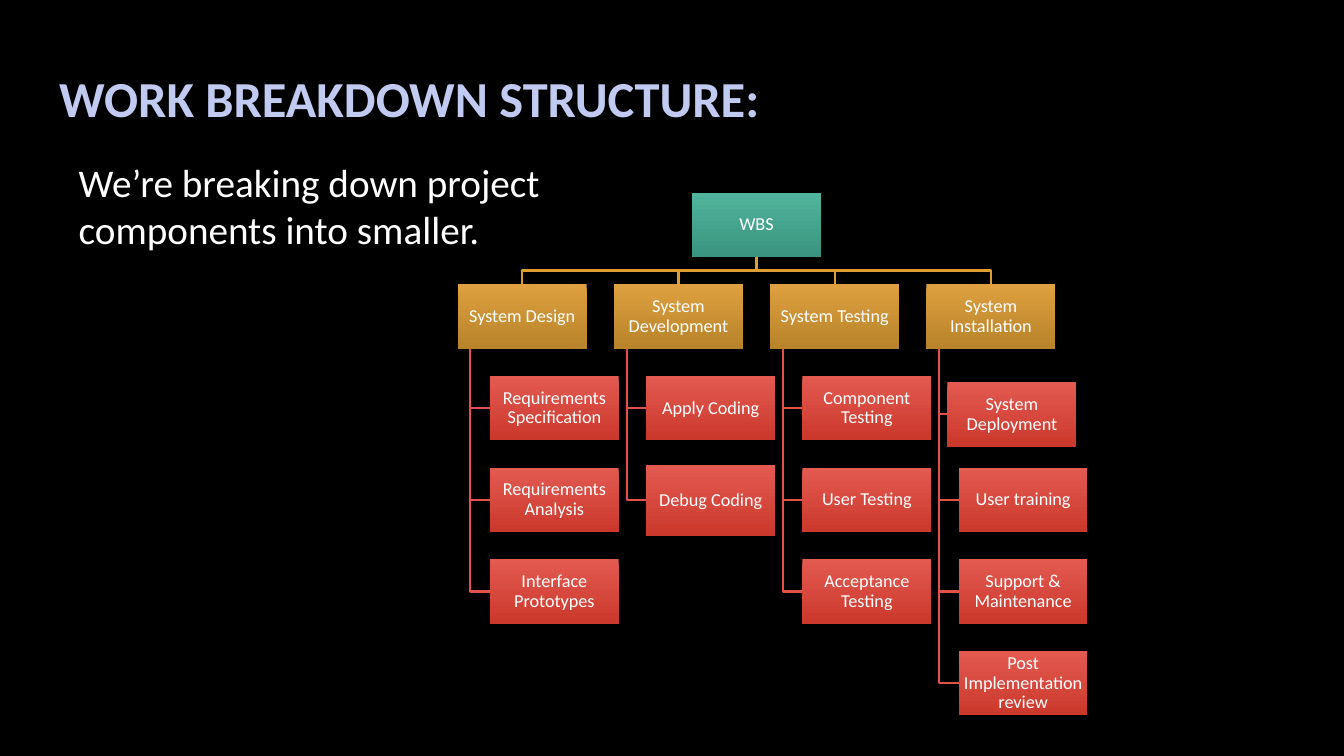
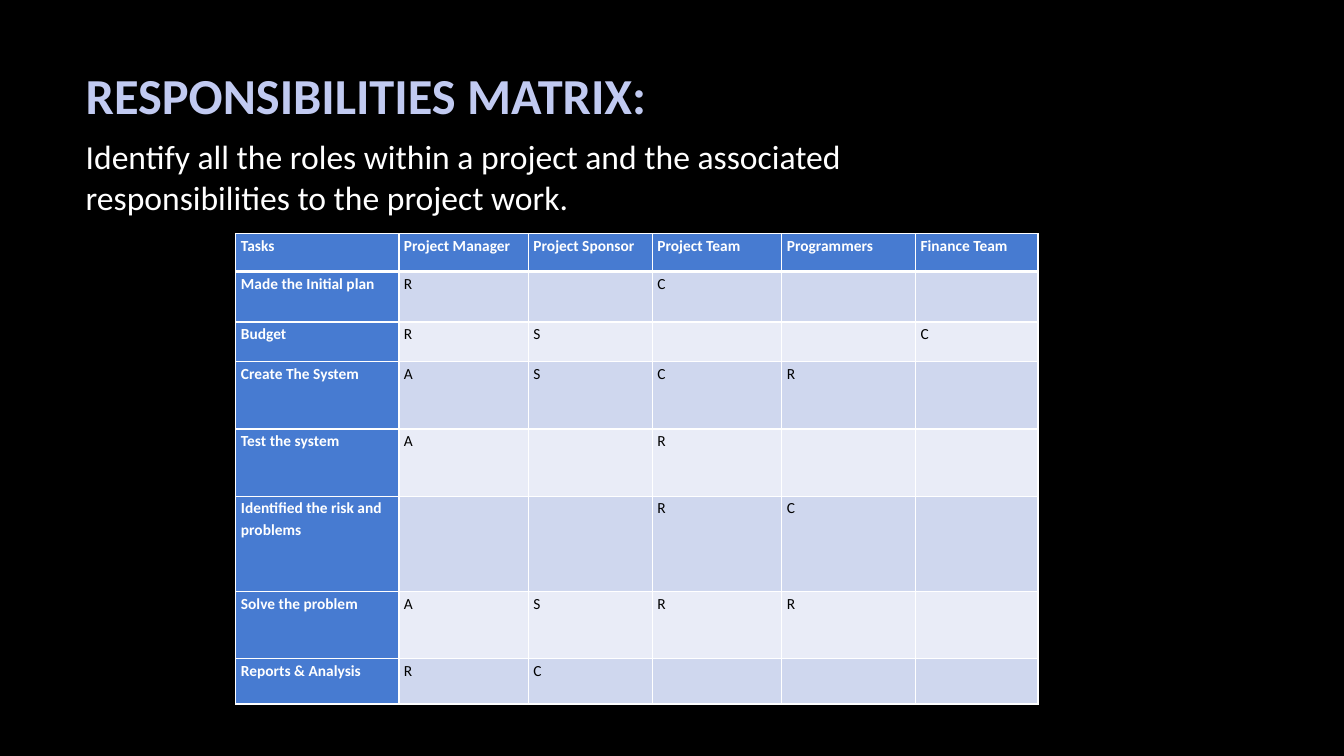
from lxml import etree
from pptx import Presentation
from pptx.dml.color import RGBColor
from pptx.enum.shapes import MSO_SHAPE
from pptx.enum.text import MSO_ANCHOR, MSO_AUTO_SIZE, PP_ALIGN
from pptx.oxml.ns import qn
from pptx.util import Pt

# Shared style
FONT = "Calibri"
COLORS = {
    "background": "000000", "title": "C1CAF1", "light": "FFFFFF", "dark": "000000",
    "branch_line": "DD9D31", "leaf_line": "E25247",
    "header": "477BD1", "band_odd": "CFD7EE", "band_even": "E9ECF7",
}
GRADIENTS = {
    "root": ("50B49B", "3A947F"),
    "branch": ("DEA040", "B88329"),
    "leaf": ("E35A51", "CB382C"),
}

# Content of the breakdown slide
WBS_TITLE = "WORK BREAKDOWN STRUCTURE:"
WBS_INTRO = "We’re breaking down project components into smaller."
WBS_ROOT = "WBS"
WBS_BRANCHES = [
    ("System Design",
     ["Requirements Specification", "Requirements Analysis", "Interface Prototypes"]),
    ("System Development", ["Apply Coding", "Debug Coding"]),
    ("System Testing", ["Component Testing", "User Testing", "Acceptance Testing"]),
    ("System Installation",
     ["System Deployment", "User training", "Support & Maintenance",
      "Post Implementation review"]),
]
# Boxes that leave the grid: shift right, shift down, extra height
WBS_ADJUST = {"Debug Coding": (0, -2, 5), "System Deployment": (-8, 4.5, 0)}

# Content of the matrix slide
MATRIX_TITLE = "RESPONSIBILITIES MATRIX:"
MATRIX_INTRO = ("Identify all the roles within a project and the associated "
                "responsibilities to the project work.")
MATRIX = [
    ("Tasks", "Project Manager", "Project Sponsor", "Project Team", "Programmers",
     "Finance Team"),
    ("Made the Initial plan", "R", "", "C", "", ""),
    ("Budget", "R", "S", "", "", "C"),
    ("Create The System", "A", "S", "C", "R", ""),
    ("Test the system", "A", "", "R", "", ""),
    ("Identified the risk and problems", "", "", "R", "C", ""),
    ("Solve the problem", "A", "S", "R", "R", ""),
    ("Reports & Analysis", "R", "C", "", "", ""),
]
COLUMN_WIDTHS = [116.5, 92.5, 88.5, 92.5, 95.5, 87.5]
ROW_HEIGHTS = [27, 36, 28.5, 48, 48, 68, 48, 32.5]

# Breakdown grid
BOX_WIDTH, BOX_HEIGHT = 92, 46
GRID_LEFT, GRID_TOP = 327, 137.5
COLUMN_STEP, ROW_STEP = 111.6, 65.5
LEAF_INDENT, SPINE_INDENT = 23, 9


def rgb(name):
    return RGBColor.from_string(COLORS.get(name, name))


def write_text(frame, text, size=13, color="light", bold=False,
               align=PP_ALIGN.LEFT, line_spacing=1.0, space_after=0):
    frame.word_wrap = True
    paragraph = frame.paragraphs[0]
    paragraph.alignment = align
    paragraph.line_spacing = line_spacing
    paragraph.space_before = Pt(0)
    paragraph.space_after = Pt(space_after)
    run = paragraph.add_run()
    run.text = text
    run.font.name = FONT
    run.font.size = Pt(size)
    run.font.bold = bold
    run.font.color.rgb = rgb(color)
    return paragraph


def set_insets(target, across, down):
    target.margin_left = target.margin_right = Pt(across)
    target.margin_top = target.margin_bottom = Pt(down)


def place(shape, left, top, width, height):
    shape.left, shape.top = Pt(left), Pt(top)
    shape.width, shape.height = Pt(width), Pt(height)


def add_text_slide(presentation, title, title_area, intro, intro_area, intro_size):
    slide = presentation.slides.add_slide(presentation.slide_layouts[1])
    heading, body = slide.placeholders[0], slide.placeholders[1]
    place(heading, *title_area)
    place(body, *intro_area)
    for shape in (heading, body):
        shape.text_frame.auto_size = MSO_AUTO_SIZE.NONE
        shape.text_frame.vertical_anchor = MSO_ANCHOR.MIDDLE
    write_text(heading.text_frame, title, size=36, color="title", bold=True)
    paragraph = write_text(body.text_frame, intro, size=intro_size)
    # Plain paragraph without bullet
    properties = paragraph._p.get_or_add_pPr()
    properties.set("marL", "0")
    properties.set("indent", "0")
    etree.SubElement(properties, qn("a:buNone"))
    return slide


def add_box(slide, text, level, left, top, height=BOX_HEIGHT):
    box = slide.shapes.add_shape(MSO_SHAPE.RECTANGLE, Pt(left), Pt(top),
                                 Pt(BOX_WIDTH), Pt(height))
    box.shadow.inherit = False
    box.line.fill.background()
    box.fill.gradient()
    box.fill.gradient_angle = 270
    for stop, color in zip(box.fill.gradient_stops, GRADIENTS[level]):
        stop.color.rgb = rgb(color)
    box.text_frame.vertical_anchor = MSO_ANCHOR.MIDDLE
    set_insets(box.text_frame, 1, 1)
    write_text(box.text_frame, text, align=PP_ALIGN.CENTER, line_spacing=0.9)


def add_elbow(slide, points, color):
    start, *others = [(Pt(x), Pt(y)) for x, y in points]
    builder = slide.shapes.build_freeform(*start)
    builder.add_line_segments(others, close=False)
    elbow = builder.convert_to_shape()
    elbow.shadow.inherit = False
    elbow.fill.background()
    elbow.line.color.rgb = rgb(color)
    elbow.line.width = Pt(1.5)


def add_breakdown(slide):
    branch_top = GRID_TOP + ROW_STEP
    root_bottom = GRID_TOP + BOX_HEIGHT
    bus = (root_bottom + branch_top) / 2
    root_left = GRID_LEFT + COLUMN_STEP * (len(WBS_BRANCHES) - 1) / 2
    root_center = root_left + BOX_WIDTH / 2
    boxes = [(WBS_ROOT, "root", root_left, GRID_TOP)]

    # Lines first, so that the boxes lie over them
    for column, (branch, leaves) in enumerate(WBS_BRANCHES):
        left = GRID_LEFT + column * COLUMN_STEP
        center, spine = left + BOX_WIDTH / 2, left + SPINE_INDENT
        boxes.append((branch, "branch", left, branch_top))
        add_elbow(slide, [(root_center, root_bottom), (root_center, bus),
                          (center, bus), (center, branch_top)], "branch_line")
        for row, leaf in enumerate(leaves, start=1):
            shift, drop, extra = WBS_ADJUST.get(leaf, (0, 0, 0))
            leaf_left = left + LEAF_INDENT + shift
            leaf_top = branch_top + row * ROW_STEP + drop
            height = BOX_HEIGHT + extra
            middle = leaf_top + height / 2
            boxes.append((leaf, "leaf", leaf_left, leaf_top, height))
            add_elbow(slide, [(spine, branch_top + BOX_HEIGHT), (spine, middle),
                              (leaf_left, middle)], "leaf_line")
    for box in boxes:
        add_box(slide, *box)


def set_borders(cell, **widths):
    properties = cell._tc.get_or_add_tcPr()
    for side in "LRTB":
        line = etree.SubElement(properties, qn(f"a:ln{side}"),
                                w=str(Pt(widths.get(side, 1))))
        fill = etree.SubElement(line, qn("a:solidFill"))
        etree.SubElement(fill, qn("a:srgbClr"), val=COLORS["light"])


def add_matrix(slide):
    table = slide.shapes.add_table(
        len(MATRIX), len(MATRIX[0]), Pt(168.5), Pt(167),
        Pt(sum(COLUMN_WIDTHS)), Pt(sum(ROW_HEIGHTS))).table
    table.first_row = table.horz_banding = False
    for column, width in zip(table.columns, COLUMN_WIDTHS):
        column.width = Pt(width)
    for row, height in zip(table.rows, ROW_HEIGHTS):
        row.height = Pt(height)
    for r, values in enumerate(MATRIX):
        for c, value in enumerate(values):
            cell = table.cell(r, c)
            is_header = r == 0 or c == 0
            set_insets(cell, 3.6, 0)
            set_borders(cell, T=3 if r == 1 else 1, B=3 if r == 0 else 1)
            cell.fill.solid()
            band = "band_odd" if r % 2 else "band_even"
            cell.fill.fore_color.rgb = rgb("header" if is_header else band)
            if value:
                write_text(cell.text_frame, value, size=11, bold=is_header,
                           color="light" if is_header else "dark",
                           line_spacing=1.15, space_after=10)


def main():
    presentation = Presentation()
    presentation.slide_width, presentation.slide_height = Pt(960), Pt(540)
    background = presentation.slide_master.background.fill
    background.solid()
    background.fore_color.rgb = rgb("background")

    add_breakdown(add_text_slide(
        presentation, WBS_TITLE, (35, 12, 798, 115),
        WBS_INTRO, (49, 88, 435, 118), 28))
    add_matrix(add_text_slide(
        presentation, MATRIX_TITLE, (54, 10, 798, 115),
        MATRIX_INTRO, (54, 53, 598, 146), 24))
    presentation.save("out.pptx")


if __name__ == "__main__":
    main()
